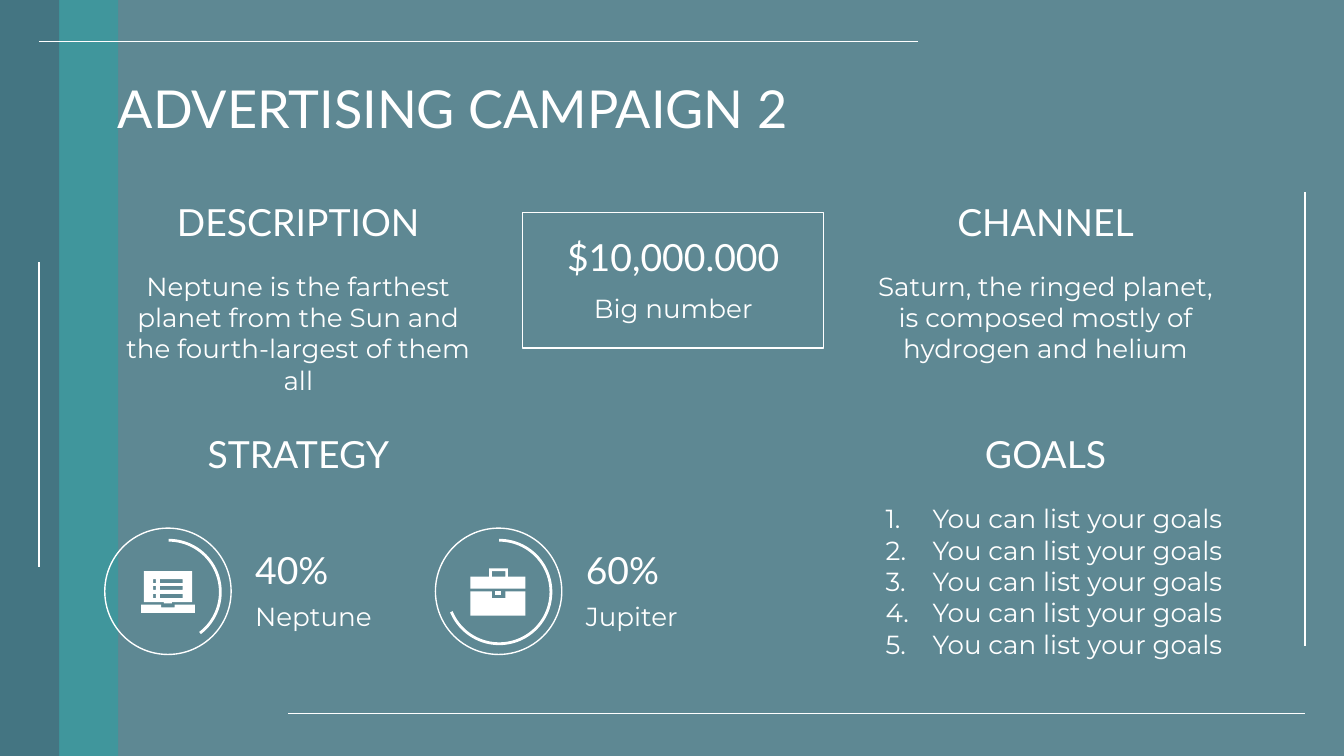
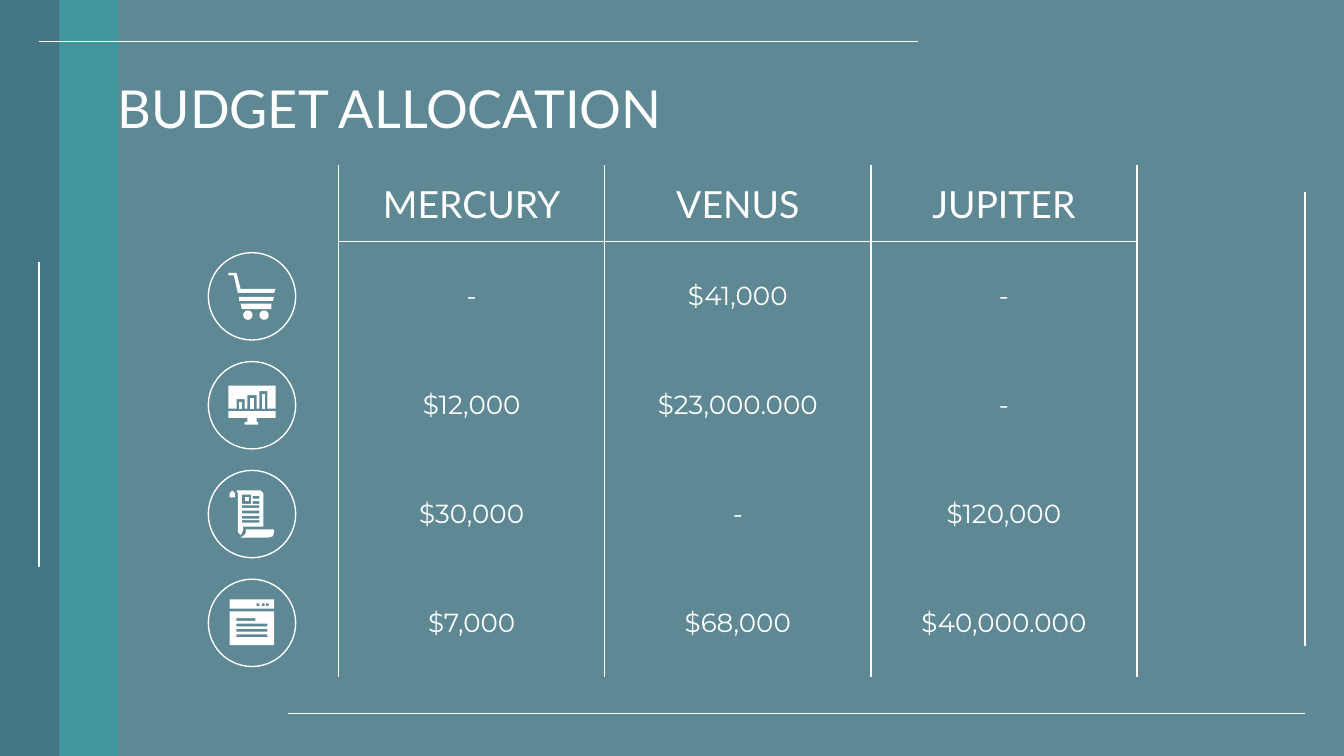
from dataclasses import dataclass
from typing import NamedTuple

from lxml.etree import SubElement
from pptx import Presentation
from pptx.dml.color import RGBColor
from pptx.enum.shapes import MSO_CONNECTOR, MSO_SHAPE
from pptx.enum.text import MSO_ANCHOR, PP_ALIGN
from pptx.oxml.ns import qn
from pptx.shapes.autoshape import Shape
from pptx.slide import Slide
from pptx.table import _Cell
from pptx.text.text import TextFrame, _Paragraph
from pptx.util import Inches, Pt

WHITE = RGBColor(0xFF, 0xFF, 0xFF)
DEEP_TEAL = RGBColor(0x01, 0x43, 0x55)
BRIGHT_TEAL = RGBColor(0x20, 0xA7, 0xA7)

HEADING_FONT, BODY_FONT = "Lato", "Montserrat"
TITLE_SIZE, HEADING_SIZE, BODY_SIZE = 28, 20, 14
THIN, THICK = 0.75, 1.5
PAGE_WIDTH = 10
PAGE_HEIGHT = PAGE_WIDTH * 9 / 16
NO_GRID_STYLE = "{2D5ABB26-0587-4C30-8999-92F81FD0307C}"

Contour = list[tuple[float, float]]


class Band(NamedTuple):
    left: float
    width: float
    color: RGBColor
    opacity: int


class Rule(NamedTuple):
    x1: float
    y1: float
    x2: float
    y2: float


class Wheel(NamedTuple):
    left: float
    top: float
    diameter: float


@dataclass(frozen=True)
class Label:
    text: str
    left: float
    top: float
    width: float
    height: float
    size: int = BODY_SIZE
    font: str = BODY_FONT
    align: PP_ALIGN = PP_ALIGN.CENTER
    anchor: MSO_ANCHOR = MSO_ANCHOR.TOP
    numbered: bool = False


@dataclass(frozen=True)
class Section:
    heading: str
    left: float
    top: float
    body: str = ""
    body_height: float = 0.94
    numbered: bool = False


@dataclass(frozen=True)
class Icon:
    pieces: list[list[Contour]]
    wheels: tuple[Wheel, ...] = ()


@dataclass(frozen=True)
class Share:
    percent: str
    planet: str
    left: float
    arc_end: float
    icon: Icon


def box(left: float, top: float, right: float, bottom: float) -> Contour:
    return [(left, top), (left, bottom), (right, bottom), (right, top)]


BANDS = [
    Band(0, PAGE_WIDTH, DEEP_TEAL, 63),
    Band(0.44, 0.44, BRIGHT_TEAL, 47),
    Band(0, 0.44, DEEP_TEAL, 27),
]
RULES = [
    Rule(9.71, 1.43, 9.71, 4.81),
    Rule(9.71, 5.31, 2.14, 5.31),
    Rule(0.29, 0.31, 6.83, 0.31),
    Rule(0.29, 1.95, 0.29, 4.22),
]

LAPTOP_LINES = [
    box(left, top, right, top + 0.03)
    for top in (4.31, 4.36, 4.42)
    for left, right in ((1.14, 1.16), (1.19, 1.36))
]
LAPTOP = Icon([
    LAPTOP_LINES + [[(1.07, 4.25), (1.07, 4.48), (1.22, 4.48), (1.22, 4.49),
                     (1.28, 4.49), (1.28, 4.48), (1.43, 4.48), (1.43, 4.25)]],
    [[(1.05, 4.5), (1.05, 4.56), (1.45, 4.56), (1.45, 4.5),
      (1.3, 4.5), (1.3, 4.52), (1.2, 4.52), (1.2, 4.5)]],
])
BRIEFCASE = Icon([
    [box(3.66, 4.25, 3.76, 4.29),
     [(3.64, 4.23), (3.64, 4.29), (3.5, 4.29), (3.5, 4.38),
      (3.91, 4.38), (3.91, 4.29), (3.78, 4.29), (3.78, 4.23)]],
    [box(3.68, 4.4, 3.73, 4.43)],
    [[(3.5, 4.4), (3.5, 4.58), (3.91, 4.58), (3.91, 4.4),
      (3.76, 4.4), (3.76, 4.45), (3.66, 4.45), (3.66, 4.4)]],
])
CART = Icon(
    [
        [[(1.7, 2.03), (1.7, 2.05), (1.74, 2.05), (1.77, 2.18),
          (2.04, 2.18), (2.05, 2.15), (1.79, 2.15), (1.76, 2.03)]],
        [[(1.78, 2.21), (1.78, 2.24), (2.03, 2.24), (2.04, 2.21)]],
        [[(1.79, 2.26), (1.8, 2.3), (2.02, 2.3), (2.02, 2.26)]],
    ],
    (Wheel(1.81, 2.31, 0.07), Wheel(1.93, 2.31, 0.07)),
)
MONITOR = Icon([
    [box(1.95, 2.93, 1.97, 3.04)],
    [box(1.86, 2.96, 1.89, 3.04)],
    [box(1.78, 2.99, 1.8, 3.04)],
    [[(1.7, 2.87), (1.7, 3.04), (1.76, 3.04), (1.76, 2.97), (1.82, 2.97),
      (1.82, 3.04), (1.84, 3.04), (1.84, 2.94), (1.91, 2.94), (1.91, 3.04),
      (1.93, 3.04), (1.93, 2.91), (1.99, 2.91), (1.99, 3.04), (2.05, 3.04),
      (2.05, 2.87)]],
    [[(1.7, 3.06), (1.7, 3.11), (1.84, 3.11), (1.84, 3.14), (1.82, 3.14),
      (1.82, 3.16), (1.92, 3.16), (1.92, 3.14), (1.91, 3.14), (1.91, 3.11),
      (2.05, 3.11), (2.05, 3.06)]],
])
NEWS_LINES = [box(1.88, top, 1.93, top + 0.02) for top in (3.69, 3.73)] + [
    box(1.8, top, 1.93, top + 0.02) for top in (3.76, 3.8, 3.84, 3.87)
]
NEWS_SCROLL = Icon([
    [[(1.73, 3.65), (1.72, 3.66), (1.71, 3.67), (1.71, 3.7),
      (1.75, 3.7), (1.75, 3.67), (1.74, 3.66)]],
    [box(1.82, 3.7, 1.85, 3.73)],
    NEWS_LINES + [
        box(1.8, 3.68, 1.87, 3.75),
        [(1.76, 3.65), (1.77, 3.67), (1.77, 3.96), (1.78, 3.97), (1.79, 3.98),
         (1.8, 3.97), (1.81, 3.94), (1.81, 3.92), (1.96, 3.92), (1.96, 3.67),
         (1.95, 3.66), (1.94, 3.65)]],
    [[(1.83, 3.94), (1.83, 3.96), (1.82, 3.98), (1.79, 4), (2, 4),
      (2.03, 3.99), (2.04, 3.96), (2.04, 3.94)]],
])
BROWSER_LINES = [box(1.76, 4.6, 1.9, 4.62)] + [
    box(1.76, top, 1.99, top + 0.02) for top in (4.64, 4.68, 4.72)
]
BROWSER = Icon([
    [box(left, 4.49, left + 0.02, 4.51) for left in (1.91, 1.95, 1.98)]
    + [box(1.71, 4.46, 2.04, 4.53)],
    BROWSER_LINES + [box(1.71, 4.55, 2.04, 4.8)],
])

LEFT_COLUMN, RIGHT_COLUMN, UPPER_ROW, LOWER_ROW = 0.78, 6.34, 1.38, 3.11
SECTIONS = [
    Section("DESCRIPTION", LEFT_COLUMN, UPPER_ROW,
            "Neptune is the farthest planet from the Sun and the fourth-largest of them all"),
    Section("CHANNEL", RIGHT_COLUMN, UPPER_ROW,
            "Saturn, the ringed planet, is composed mostly of hydrogen and helium"),
    Section("STRATEGY", LEFT_COLUMN, LOWER_ROW),
    Section("GOALS", RIGHT_COLUMN, LOWER_ROW,
            "\n".join(["You can list your goals"] * 5), 1.27, True),
]
SHARES = [
    Share("40%", "Neptune", 0.78, 52.5, LAPTOP),
    Share("60%", "Jupiter", 3.24, 157.5, BRIEFCASE),
]
BUDGET = [
    ["MERCURY", "VENUS", "JUPITER"],
    ["-", "$41,000", "-"],
    ["$12,000", "$23,000.000", "-"],
    ["$30,000", "-", "$120,000"],
    ["$7,000", "$68,000", "$40,000.000"],
]
BUDGET_ICONS = [CART, MONITOR, NEWS_SCROLL, BROWSER]


def paint(shape: Shape) -> None:
    shape.shadow.inherit = False
    shape.fill.solid()
    shape.fill.fore_color.rgb = WHITE
    shape.line.fill.background()


def add_outline(slide: Slide, preset: MSO_SHAPE, left: float, top: float,
                width: float, height: float, weight: float = THIN) -> Shape:
    shape = slide.shapes.add_shape(preset, Inches(left), Inches(top), Inches(width), Inches(height))
    shape.shadow.inherit = False
    shape.fill.background()
    shape.line.color.rgb = WHITE
    shape.line.width = Pt(weight)
    return shape


def add_band(slide: Slide, band: Band) -> None:
    shape = slide.shapes.add_shape(MSO_SHAPE.RECTANGLE, Inches(band.left), 0,
                                   Inches(band.width), Inches(PAGE_HEIGHT))
    paint(shape)
    shape.fill.fore_color.rgb = band.color
    tint = shape._element.spPr.find(qn("a:solidFill"))[0]
    SubElement(tint, qn("a:alpha"), val=str(band.opacity * 1000))


def add_rule(slide: Slide, rule: Rule) -> None:
    connector = slide.shapes.add_connector(MSO_CONNECTOR.STRAIGHT, *(Inches(v) for v in rule))
    connector.line.color.rgb = WHITE
    connector.line.width = Pt(THIN)
    SubElement(connector._element.spPr, qn("a:effectLst"))


def number_paragraph(paragraph: _Paragraph) -> None:
    properties = paragraph._p.get_or_add_pPr()
    properties.set("marL", str(Inches(0.5)))
    properties.set("indent", str(Inches(-0.35)))
    bullet_color = SubElement(properties, qn("a:buClr"))
    SubElement(bullet_color, qn("a:srgbClr"), val=str(WHITE))
    SubElement(properties, qn("a:buAutoNum"), type="arabicPeriod")


def write(frame: TextFrame, text: str, size: int, font: str,
          align: PP_ALIGN, numbered: bool = False) -> None:
    for index, line in enumerate(text.split("\n")):
        paragraph = frame.add_paragraph() if index else frame.paragraphs[0]
        paragraph.alignment = align
        if numbered:
            number_paragraph(paragraph)
        run = paragraph.add_run()
        run.text = line
        run.font.size = Pt(size)
        run.font.name = font
        run.font.color.rgb = WHITE


def add_label(slide: Slide, label: Label) -> None:
    frame = slide.shapes.add_textbox(Inches(label.left), Inches(label.top),
                                     Inches(label.width), Inches(label.height)).text_frame
    frame.word_wrap = True
    frame.vertical_anchor = label.anchor
    frame.margin_left = frame.margin_right = frame.margin_top = frame.margin_bottom = Inches(0.1)
    write(frame, label.text, label.size, label.font, label.align, label.numbered)


def add_icon(slide: Slide, icon: Icon) -> None:
    group = slide.shapes.add_group_shape()
    for piece in icon.pieces:
        contours = [[(Inches(x), Inches(y)) for x, y in contour] for contour in piece]
        builder = group.shapes.build_freeform(*contours[0][0])
        for index, contour in enumerate(contours):
            if index:
                builder.move_to(*contour[0])
            builder.add_line_segments(contour[1:], close=True)
        paint(builder.convert_to_shape())
    for wheel in icon.wheels:
        paint(group.shapes.add_shape(MSO_SHAPE.OVAL, Inches(wheel.left), Inches(wheel.top),
                                     Inches(wheel.diameter), Inches(wheel.diameter)))


def add_section(slide: Slide, section: Section) -> None:
    add_label(slide, Label(section.heading, section.left, section.top, 2.88, 0.4,
                           HEADING_SIZE, HEADING_FONT))
    if section.body:
        align = PP_ALIGN.LEFT if section.numbered else PP_ALIGN.CENTER
        add_label(slide, Label(section.body, section.left, section.top + 0.53, 2.88,
                               section.body_height, align=align, numbered=section.numbered))


def add_share(slide: Slide, share: Share) -> None:
    add_outline(slide, MSO_SHAPE.OVAL, share.left, 3.93, 0.94, 0.94)
    arc = add_outline(slide, MSO_SHAPE.ARC, share.left + 0.09, 4.02, 0.77, 0.77, THICK)
    for index, degrees in enumerate((270, share.arc_end)):
        arc.adjustments[index] = degrees * 0.6
    text_left = share.left + 1.02
    add_label(slide, Label(share.percent, text_left, 3.97, 1.11, 0.4,
                           HEADING_SIZE, HEADING_FONT, PP_ALIGN.LEFT))
    add_label(slide, Label(share.planet, text_left, 4.37, 1.11, 0.4, align=PP_ALIGN.LEFT))
    add_icon(slide, share.icon)


def add_borders(cell: _Cell, sides: str) -> None:
    properties = cell._tc.get_or_add_tcPr()
    for side in "LRTB":
        border = SubElement(properties, qn(f"a:ln{side}"), w=str(Pt(THIN)))
        if side in sides:
            SubElement(SubElement(border, qn("a:solidFill")), qn("a:srgbClr"), val=str(WHITE))
        else:
            SubElement(border, qn("a:noFill"))


def add_budget_table(slide: Slide) -> None:
    table = slide.shapes.add_table(len(BUDGET), len(BUDGET[0]), Inches(2.52), Inches(1.23),
                                   Inches(5.94), Inches(3.81)).table
    table.first_row = table.horz_banding = False
    table._tbl.tblPr.find(qn("a:tableStyleId")).text = NO_GRID_STYLE
    for column in table.columns:
        column.width = Inches(1.98)
    for r, values in enumerate(BUDGET):
        table.rows[r].height = Inches(0.81 if r else 0.57)
        size, font = (BODY_SIZE, BODY_FONT) if r else (HEADING_SIZE, HEADING_FONT)
        for c, value in enumerate(values):
            cell = table.cell(r, c)
            add_borders(cell, {0: "LRB", 1: "LRT"}.get(r, "LR"))
            cell.fill.background()
            cell.vertical_anchor = MSO_ANCHOR.MIDDLE
            cell.margin_left = cell.margin_right = cell.margin_top = cell.margin_bottom = Inches(0.1)
            write(cell.text_frame, value, size, font, PP_ALIGN.CENTER)


def add_titled_slide(deck: Presentation, title: str) -> Slide:
    slide = deck.slides.add_slide(deck.slide_layouts[6])
    for band in BANDS:
        add_band(slide, band)
    for rule in RULES:
        add_rule(slide, rule)
    add_label(slide, Label(title, 0.78, 0.47, 8.44, 0.51, TITLE_SIZE, HEADING_FONT, PP_ALIGN.LEFT))
    return slide


def main() -> None:
    deck = Presentation()
    deck.slide_width, deck.slide_height = Inches(PAGE_WIDTH), Inches(PAGE_HEIGHT)

    campaign = add_titled_slide(deck, "ADVERTISING CAMPAIGN 2")
    for section in SECTIONS:
        add_section(campaign, section)
    add_outline(campaign, MSO_SHAPE.RECTANGLE, 3.89, 1.58, 2.24, 1.01)
    add_label(campaign, Label("$10,000.000", 3.89, 1.71, 2.24, 0.4, HEADING_SIZE,
                              HEADING_FONT, anchor=MSO_ANCHOR.MIDDLE))
    add_label(campaign, Label("Big number", 3.89, 2.12, 2.24, 0.34, anchor=MSO_ANCHOR.MIDDLE))
    for share in SHARES:
        add_share(campaign, share)

    budget = add_titled_slide(deck, "BUDGET ALLOCATION")
    add_budget_table(budget)
    for row, icon in enumerate(BUDGET_ICONS):
        add_outline(budget, MSO_SHAPE.OVAL, 1.55, 1.88 + 0.81 * row, 0.65, 0.65)
        add_icon(budget, icon)

    deck.save("out.pptx")


if __name__ == "__main__":
    main()
